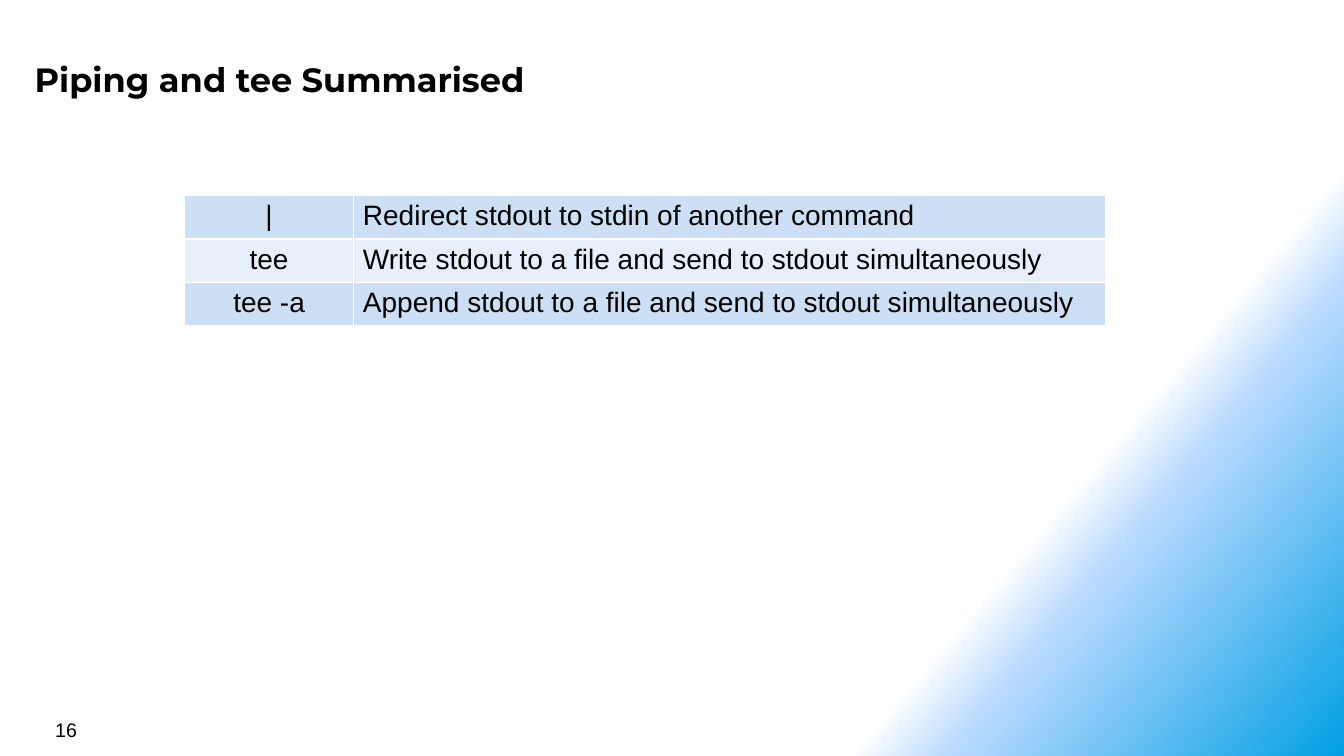
from copy import deepcopy

from lxml.etree import SubElement
from pptx import Presentation
from pptx.dml.color import RGBColor
from pptx.enum.text import MSO_ANCHOR, PP_ALIGN
from pptx.oxml.ns import qn
from pptx.util import Pt


def color(value):
    return RGBColor.from_string(value)


class SlideBuilder:
    ink = "000000"
    border = "FFFFFF"
    bands = ("CCDFF4", "E7F0FA")
    body_font = "Arial"
    title_font = "Montserrat"

    def __init__(self, page):
        self.page = page

    def gradient_background(self, stops, angle):
        fill = self.page.background.fill
        fill.gradient()
        fill.gradient_angle = angle
        stop_list = self.page.element.find(".//" + qn("a:gsLst"))
        while len(stop_list) < len(stops):
            stop_list.append(deepcopy(stop_list[0]))
        for stop, (position, value) in zip(fill.gradient_stops, stops):
            stop.position = position
            stop.color.rgb = color(value)

    def set_text(self, frame, text, size, font, bold=False, align=PP_ALIGN.LEFT):
        frame.text = text
        para = frame.paragraphs[0]
        para.alignment = align
        for span in para.runs:
            span.font.size = Pt(size)
            span.font.name = font
            span.font.bold = bold
            span.font.color.rgb = color(self.ink)

    def text(self, left, top, width, height, text, size, font, bold=False, inset=7.2):
        box = self.page.shapes.add_textbox(Pt(left), Pt(top), Pt(width), Pt(height))
        frame = box.text_frame
        frame.word_wrap = True
        frame.vertical_anchor = MSO_ANCHOR.MIDDLE
        frame.margin_left = frame.margin_right = Pt(inset)
        frame.margin_top = frame.margin_bottom = Pt(min(inset, 6))
        self.set_text(frame, text, size, font, bold)

    def cell_borders(self, cell):
        properties = cell._tc.get_or_add_tcPr()
        for index, side in enumerate(("lnL", "lnR", "lnT", "lnB")):
            line = SubElement(properties, qn("a:" + side), w=str(Pt(1)))
            fill = SubElement(line, qn("a:solidFill"))
            SubElement(fill, qn("a:srgbClr"), val=self.border)
            properties.insert(index, line)

    def table(self, left, top, widths, row_height, rows, size):
        table = self.page.shapes.add_table(
            len(rows), len(widths), Pt(left), Pt(top),
            Pt(sum(widths)), Pt(row_height * len(rows))).table
        table.first_row = False
        for column, width in zip(table.columns, widths):
            column.width = Pt(width)
        for row_index, texts in enumerate(rows):
            table.rows[row_index].height = Pt(row_height)
            for column_index, text in enumerate(texts):
                cell = table.cell(row_index, column_index)
                cell.margin_left = cell.margin_right = Pt(6.75)
                cell.margin_top = cell.margin_bottom = Pt(3.4)
                cell.fill.solid()
                cell.fill.fore_color.rgb = color(self.bands[row_index % 2])
                align = PP_ALIGN.LEFT if column_index else PP_ALIGN.CENTER
                self.set_text(cell.text_frame, text, size, self.body_font, align=align)
                self.cell_borders(cell)


def main():
    deck = Presentation()
    deck.slide_width, deck.slide_height = Pt(960), Pt(540)
    builder = SlideBuilder(deck.slides.add_slide(deck.slide_layouts[6]))

    # Background
    builder.gradient_background(
        [(0.75, "FFFFFF"), (0.8, "B9DAFF"), (1, "009FE3")], angle=320)

    # Title and page number
    builder.text(18.7, 36.7, 883, 40, "Piping and tee Summarised", 24,
                 builder.title_font, bold=True, inset=6)
    builder.text(32.4, 509, 224, 24, "16", 14, builder.body_font)

    # Command summary
    builder.table(132, 139.7, (120.5, 537), 31, [
        ("|", "Redirect stdout to stdin of another command"),
        ("tee", "Write stdout to a file and send to stdout simultaneously"),
        ("tee -a", "Append stdout to a file and send to stdout simultaneously"),
    ], 20)

    deck.save("out.pptx")


if __name__ == "__main__":
    main()
